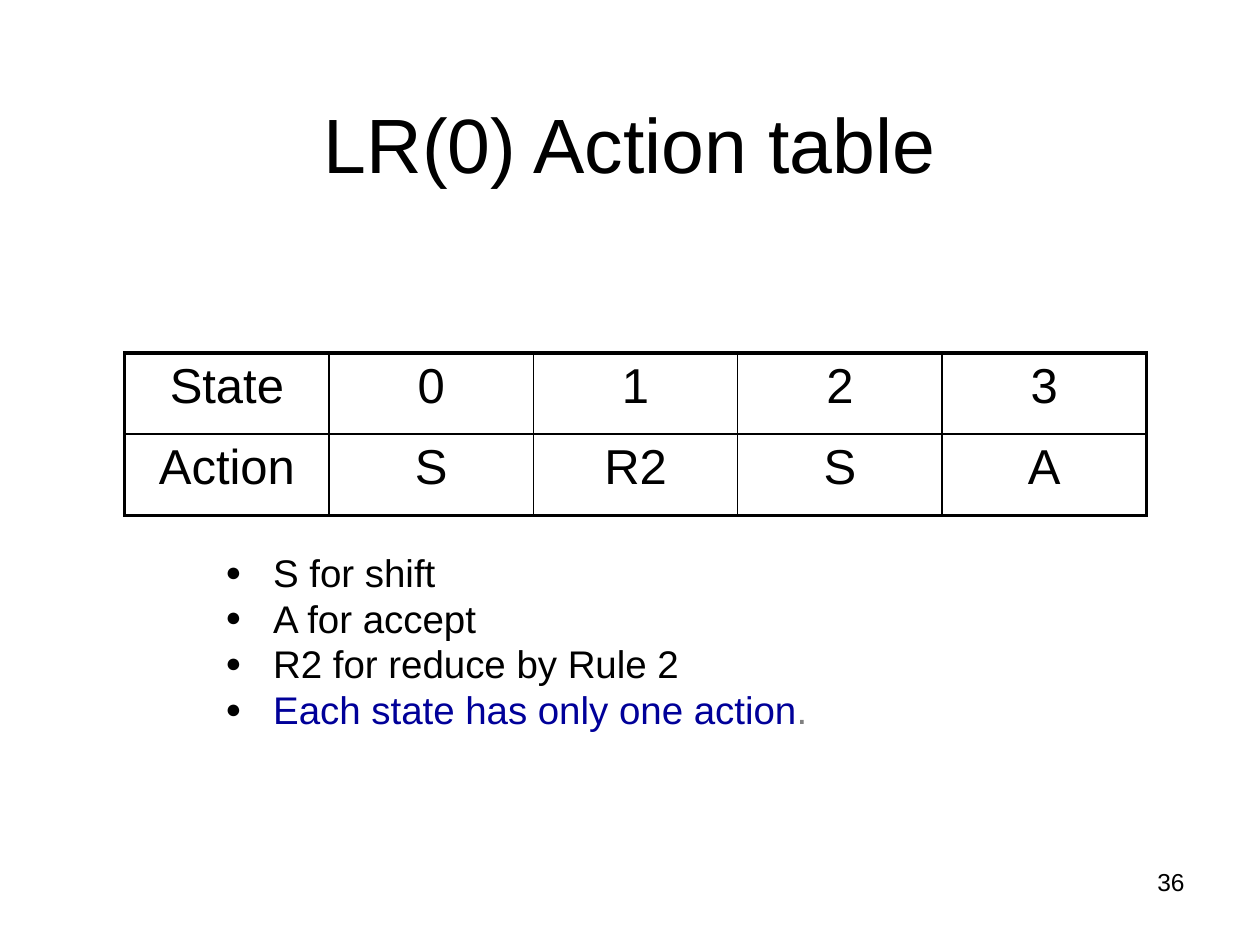
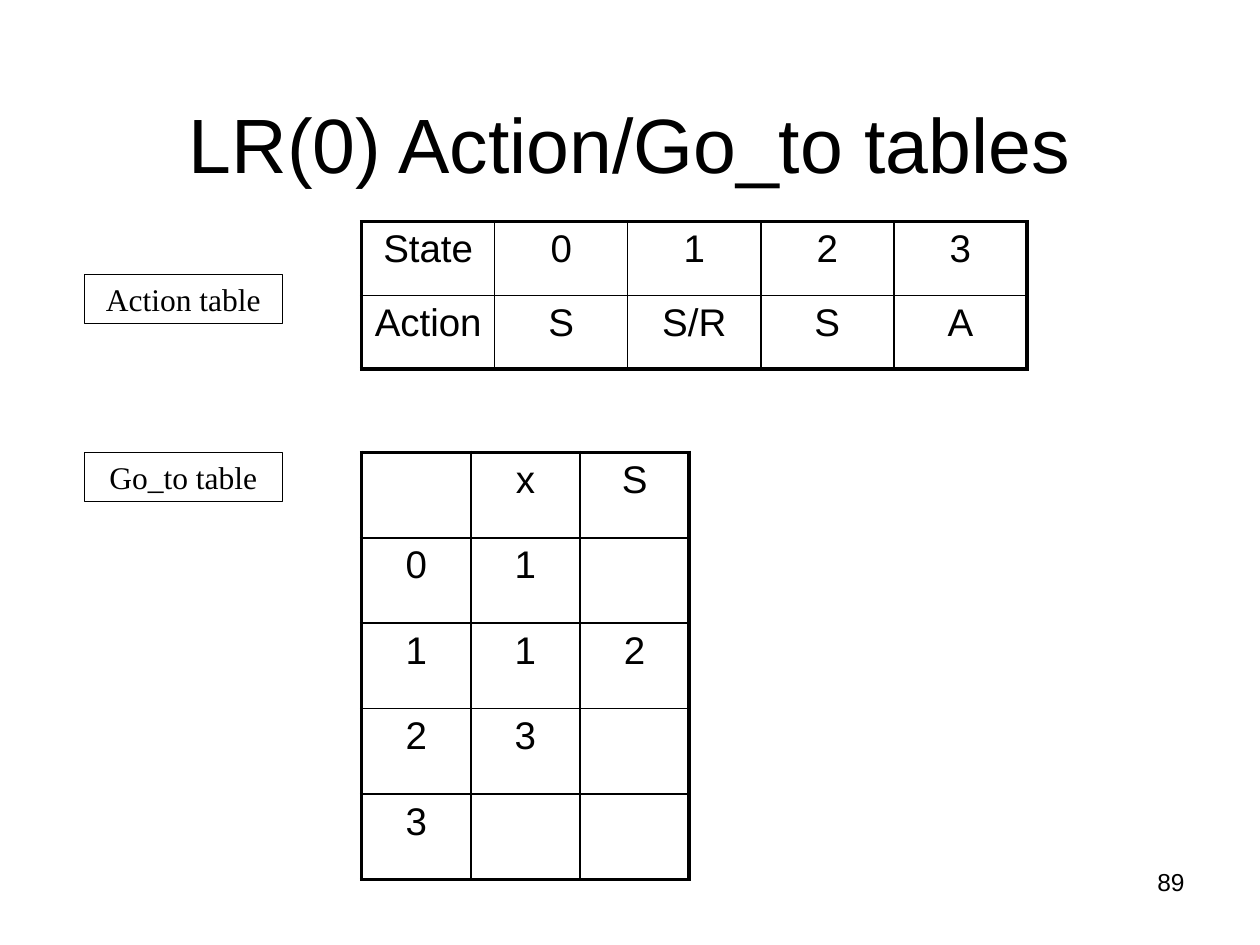
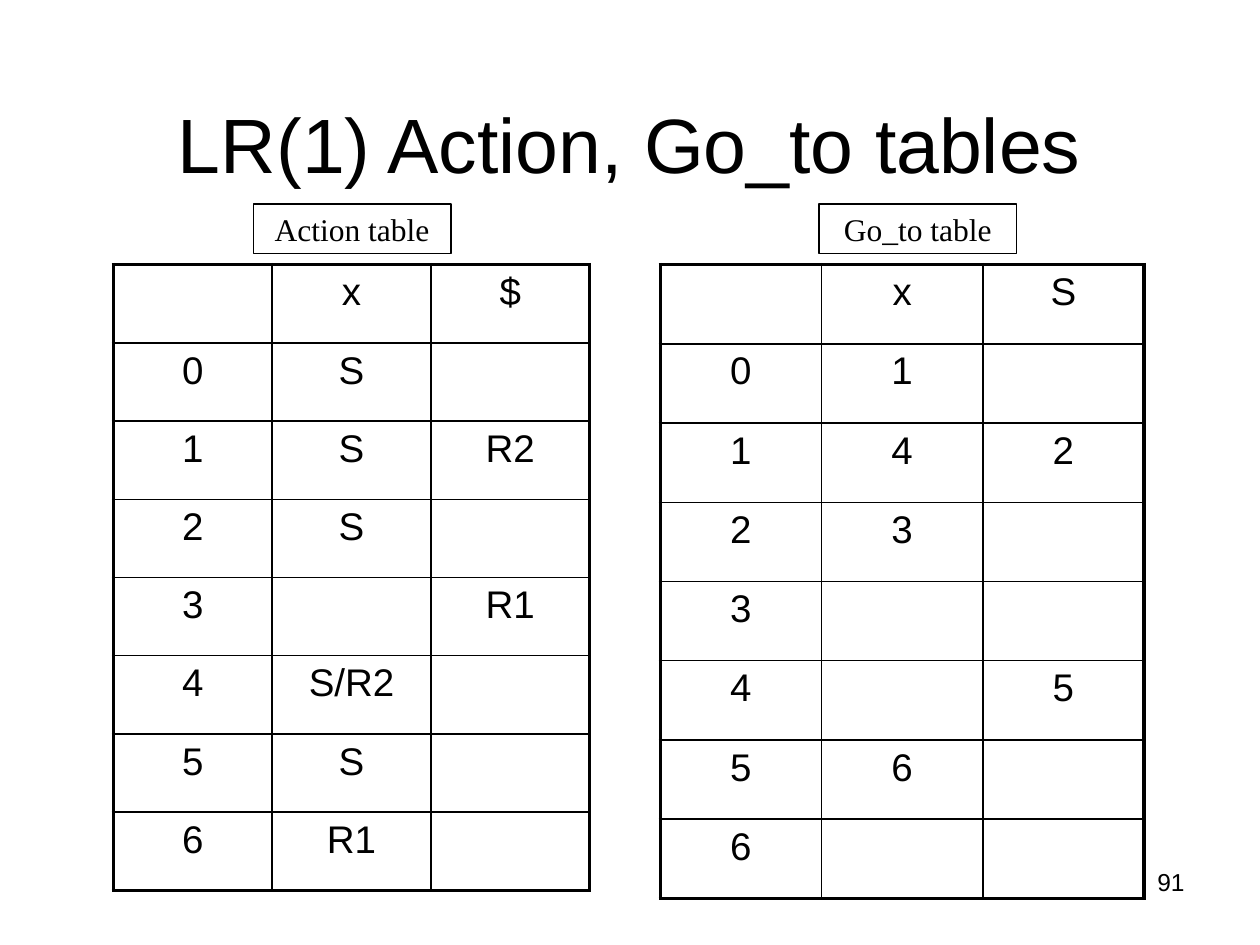
from lxml import etree
from pptx import Presentation
from pptx.dml.color import RGBColor
from pptx.enum import shapes, text
from pptx.oxml import ns
from pptx.util import Inches, Pt

# Shared style
BLACK, WHITE, BLUE, GREY = "000000", "FFFFFF", "000099", "808080"
SANS, SERIF = "Arial", "Times New Roman"
OUTER, INNER = 2.25, 1
LABEL_SIZE = (1.57, 0.39)
CENTER, RIGHT = text.PP_ALIGN.CENTER, text.PP_ALIGN.RIGHT

# Content: tables as (place, text size, rows), labels as (left, top, text)
PAGES = [
    {
        "title": "LR(0) Action table",
        "number": "36",
        "tables": [
            ((0.99, 2.8, 8.11, 1.29), 28, [
                ["State", "0", "1", "2", "3"],
                ["Action", "S", "R2", "S", "A"],
            ]),
        ],
        "bullets": [
            [("S for shift", BLACK)],
            [("A for accept", BLACK)],
            [("R2 for reduce by Rule 2", BLACK)],
            [("Each state has only one action", BLUE), (".", GREY)],
        ],
    },
    {
        "title": "LR(0) Action/Go_to tables",
        "number": "89",
        "tables": [
            ((2.87, 1.76, 5.28, 1.17), 22, [
                ["State", "0", "1", "2", "3"],
                ["Action", "S", "S/R", "S", "A"],
            ]),
            ((2.87, 3.59, 2.6, 3.39), 22, [
                ["", "x", "S"],
                ["0", "1", ""],
                ["1", "1", "2"],
                ["2", "3", ""],
                ["3", "", ""],
            ]),
        ],
        "labels": [(0.67, 3.59, "Go_to table"), (0.67, 2.18, "Action table")],
    },
    {
        "title": "LR(1) Action, Go_to tables",
        "number": "91",
        "tables": [
            ((5.24, 2.1, 3.84, 5.03), 22, [
                ["", "x", "S"],
                ["0", "1", ""],
                ["1", "4", "2"],
                ["2", "3", ""],
                ["3", "", ""],
                ["4", "", "5"],
                ["5", "6", ""],
                ["6", "", ""],
            ]),
            ((0.9, 2.1, 3.78, 4.97), 22, [
                ["", "x", "$"],
                ["0", "S", ""],
                ["1", "S", "R2"],
                ["2", "S", ""],
                ["3", "", "R1"],
                ["4", "S/R2", ""],
                ["5", "S", ""],
                ["6", "R1", ""],
            ]),
        ],
        "labels": [(2.01, 1.62, "Action table"), (6.5, 1.62, "Go_to table")],
    },
]


def color(value):
    return RGBColor.from_string(value)


def style(font, size, name=SANS, fill=BLACK):
    font.size, font.name = Pt(size), name
    font.color.rgb = color(fill)


def add_xml(parent, tag, **attributes):
    return etree.SubElement(parent, ns.qn(tag), attributes)


def write(frame, words, size, align, name=SANS):
    frame.text = words
    para = frame.paragraphs[0]
    para.alignment = align
    for span in para.runs:
        style(span.font, size, name)


def add_box(page, place):
    box = page.shapes.add_textbox(*map(Inches, place))
    box.text_frame.word_wrap = True
    return box.text_frame


def add_title(page, words):
    frame = add_box(page, (0.5, 0.3, 9, 1.25))
    frame.vertical_anchor = text.MSO_ANCHOR.BOTTOM
    write(frame, words, 44, CENTER)


def add_number(page, words):
    write(add_box(page, (7.17, 6.83, 2.33, 0.52)), words, 14, RIGHT)


def set_borders(cell, widths):
    properties = cell._tc.get_or_add_tcPr()
    for index, (side, points) in enumerate(widths.items()):
        line = add_xml(properties, f"a:ln{side}", w=str(Pt(points)))
        add_xml(add_xml(line, "a:solidFill"), "a:srgbClr", val=BLACK)
        properties.insert(index, line)


def add_grid(page, place, size, rows):
    row_count, column_count = len(rows), len(rows[0])
    table = page.shapes.add_table(row_count, column_count, *map(Inches, place)).table
    table.first_row = table.horz_banding = False
    for column in table.columns:
        column.width = Inches(place[2] / column_count)
    for row in table.rows:
        row.height = Inches(place[3] / row_count)
    for r, row in enumerate(rows):
        for c, words in enumerate(row):
            cell = table.cell(r, c)
            cell.fill.background()
            write(cell.text_frame, words, size, CENTER)
            # Thick outline, thin inner rules
            edges = {"L": c == 0, "R": c == column_count - 1,
                     "T": r == 0, "B": r == row_count - 1}
            set_borders(cell, {side: OUTER if edge else INNER
                               for side, edge in edges.items()})


def add_label(page, left, top, words):
    label = page.shapes.add_shape(shapes.MSO_SHAPE.RECTANGLE,
                                  *map(Inches, (left, top, *LABEL_SIZE)))
    label.shadow.inherit = False
    label.fill.solid()
    label.fill.fore_color.rgb = color(WHITE)
    label.line.color.rgb = color(BLACK)
    label.line.width = Pt(0.75)
    frame = label.text_frame
    frame.word_wrap = False
    frame.vertical_anchor = text.MSO_ANCHOR.MIDDLE
    write(frame, words, 18, CENTER, SERIF)


def add_bullets(page, items):
    frame = add_box(page, (1.69, 4.38, 7.8, 2.13))
    indent = Inches(0.38)
    for index, item in enumerate(items):
        para = frame.paragraphs[0] if index == 0 else frame.add_paragraph()
        properties = para._p.get_or_add_pPr()
        properties.set("marL", str(indent))
        properties.set("indent", str(-indent))
        add_xml(add_xml(properties, "a:buClr"), "a:srgbClr", val=BLACK)
        add_xml(properties, "a:buSzPct", val="70000")
        add_xml(properties, "a:buFont", typeface=SANS)
        add_xml(properties, "a:buChar", char="●")
        para.line_spacing = 0.8
        if index:
            para.space_before = Pt(5)
        for words, fill in item:
            span = para.add_run()
            span.text = words
            style(span.font, 22, fill=fill)


def main():
    deck = Presentation()
    deck.slide_width, deck.slide_height = Inches(10), Inches(7.5)
    for content in PAGES:
        page = deck.slides.add_slide(deck.slide_layouts[6])
        add_number(page, content["number"])
        add_title(page, content["title"])
        for grid in content["tables"]:
            add_grid(page, *grid)
        for label in content.get("labels", []):
            add_label(page, *label)
        if "bullets" in content:
            add_bullets(page, content["bullets"])
    deck.save("out.pptx")


if __name__ == "__main__":
    main()
